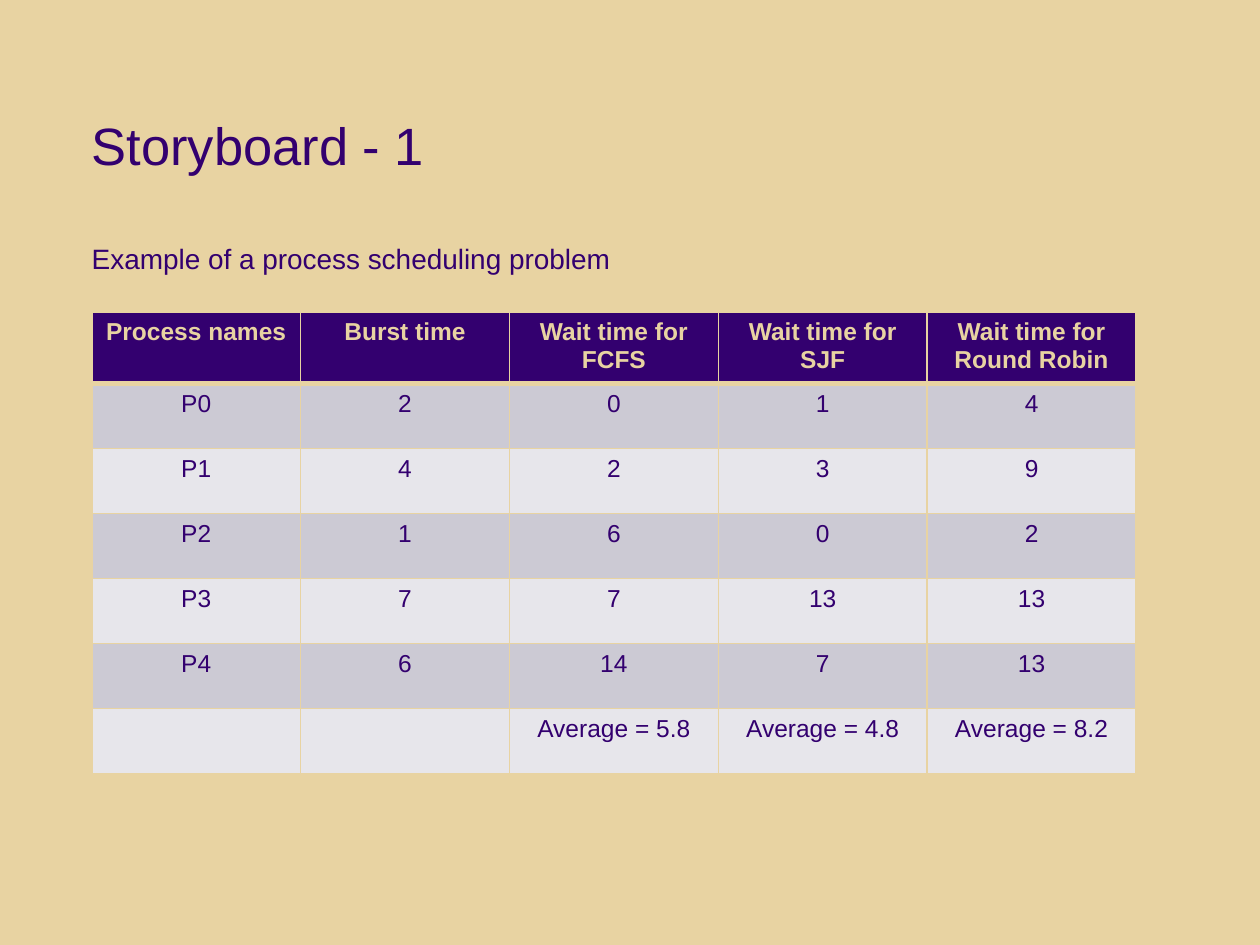
from lxml.etree import SubElement
from pptx import Presentation
from pptx.dml.color import RGBColor
from pptx.enum.text import MSO_ANCHOR, PP_ALIGN
from pptx.oxml.ns import qn
from pptx.util import Cm, Pt

COLOURS = {
    "sand": "E8D3A2",
    "purple": "33006F",
    "dark_band": "CCCAD4",
    "light_band": "E7E6EB",
}
SCHEDULE = [
    ["Process names", "Burst time", "Wait time for FCFS", "Wait time for SJF", "Wait time for Round Robin"],
    ["P0", "2", "0", "1", "4"],
    ["P1", "4", "2", "3", "9"],
    ["P2", "1", "6", "0", "2"],
    ["P3", "7", "7", "13", "13"],
    ["P4", "6", "14", "7", "13"],
    ["", "", "Average = 5.8", "Average = 4.8", "Average = 8.2"],
]


class StoryboardSlide:
    """Hold the storyboard style and the slide being built."""

    def __init__(self, deck):
        self.slide = deck.slides.add_slide(deck.slide_layouts[6])
        self.paint(self.slide.background.fill, "sand")

    def paint(self, fill, colour):
        fill.solid()
        fill.fore_color.rgb = RGBColor.from_string(COLOURS[colour])

    def letter(self, frame, wording, size, colour="purple", bold=False, **layout):
        paragraph = frame.paragraphs[0]
        for name, value in layout.items():
            setattr(paragraph, name, value)
        if wording:
            run = paragraph.add_run()
            run.text = wording
            lettering = {"name": "Arial", "size": Pt(size), "bold": bold}
            for name, value in lettering.items():
                setattr(run.font, name, value)
            run.font.color.rgb = RGBColor.from_string(COLOURS[colour])

    def text(self, wording, box, size, **layout):
        frame = self.slide.shapes.add_textbox(*map(Cm, box)).text_frame
        settings = {"word_wrap": True, "vertical_anchor": MSO_ANCHOR.TOP}
        for name, value in settings.items():
            setattr(frame, name, value)
        self.letter(frame, wording, size, **layout)

    def border(self, cell, widths):
        properties = cell._tc.get_or_add_tcPr()
        for side, width in widths.items():
            line = SubElement(properties, qn(f"a:ln{side}"), w=str(Pt(width)))
            fill = SubElement(line, qn("a:solidFill"))
            SubElement(fill, qn("a:srgbClr"), val=COLOURS["sand"])

    def table(self, rows, left, top, column_width, row_height):
        column_count = len(rows[0])
        table = self.slide.shapes.add_table(
            len(rows), column_count, Cm(left), Cm(top),
            Cm(column_width * column_count), Cm(row_height * len(rows)),
        ).table
        for column in table.columns:
            column.width = Cm(column_width)
        for row_number, row in enumerate(rows):
            table.rows[row_number].height = Cm(row_height)
            header = row_number == 0
            band = "purple" if header else ("light_band", "dark_band")[row_number % 2]
            ink = "sand" if header else "purple"
            widths = {"L": 1, "R": 1, "T": 3 if row_number == 1 else 1, "B": 3 if header else 1}
            for column_number, wording in enumerate(row):
                cell = table.cell(row_number, column_number)
                self.border(cell, widths)
                self.paint(cell.fill, band)
                self.letter(cell.text_frame, wording, 14, ink, header, alignment=PP_ALIGN.CENTER)


def main():
    deck = Presentation()
    for name, value in {"slide_width": Cm(25.4), "slide_height": Cm(19.05)}.items():
        setattr(deck, name, value)
    storyboard = StoryboardSlide(deck)
    storyboard.text("Storyboard - 1", (1.6, 2.29, 22.73, 2.46), 30, line_spacing=0.9)
    storyboard.table(SCHEDULE, left=1.85, top=6.29, column_width=4.21, row_height=1.31)
    storyboard.text("Example of a process scheduling problem", (1.6, 4.75, 11.1, 0.94), 16)
    deck.save("out.pptx")


if __name__ == "__main__":
    main()
